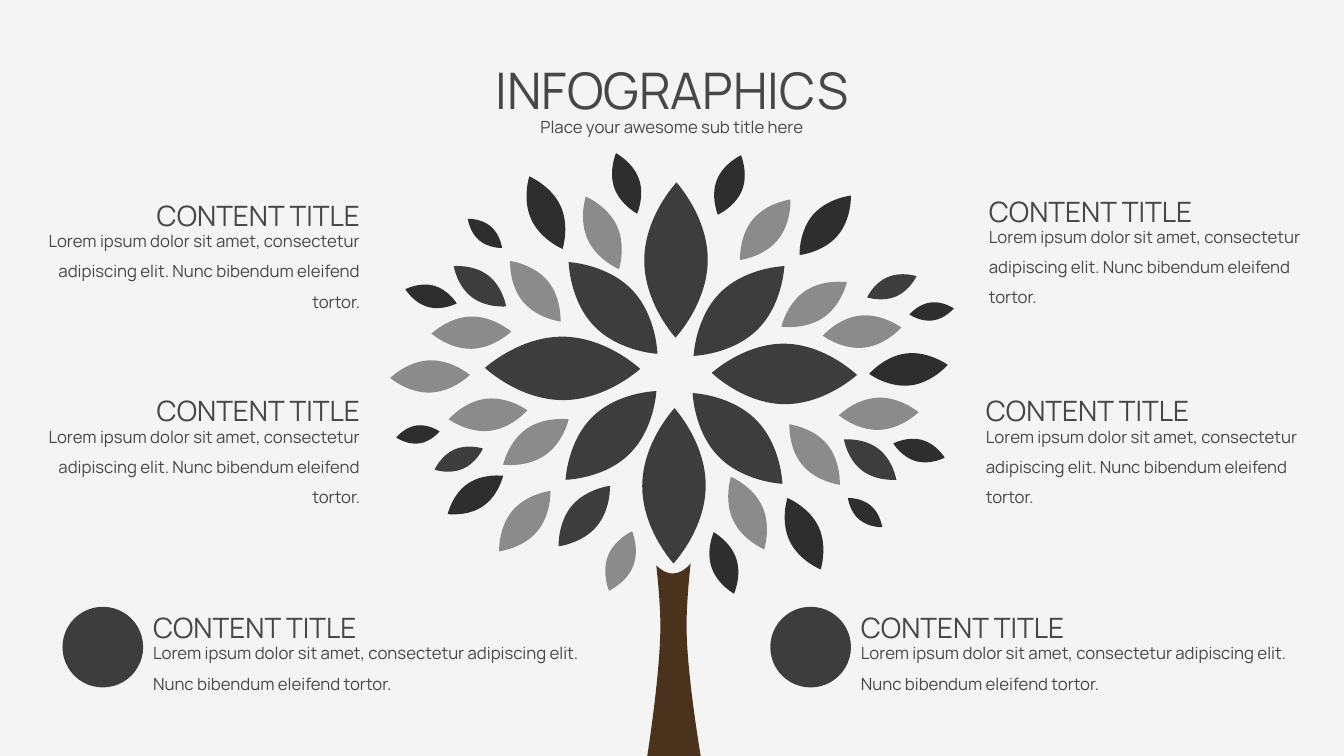
"""Build an infographic slide: a leafy tree surrounded by six content blocks."""
from lxml import etree
from pptx import Presentation
from pptx import util as u
from pptx.dml.color import RGBColor
from pptx.enum import shapes, text
from pptx.oxml.ns import qn

PAPER = RGBColor(0xF4, 0xF4, 0xF4)
INK = RGBColor(0x47, 0x47, 0x47)
CHARCOAL = RGBColor(0x3D, 0x3D, 0x3D)
BLACK = RGBColor(0x2E, 0x2E, 0x2E)
GREY = RGBColor(0x8B, 0x8B, 0x8B)
BARK = RGBColor(0x4B, 0x32, 0x1D)

HEADING = "INFOGRAPHICS"
SUBHEADING = "Place your awesome sub title here"
BLOCK_TITLE = "CONTENT TITLE"
BLOCK_BODY = ("Lorem ipsum dolor sit amet, consectetur adipiscing elit. "
              "Nunc bibendum eleifend tortor.")

LEFT, RIGHT = text.PP_ALIGN.LEFT, text.PP_ALIGN.RIGHT
CENTER, JUSTIFY = text.PP_ALIGN.CENTER, text.PP_ALIGN.JUSTIFY

# left, top, width, body height, title alignment, body alignment, has circle
BLOCKS = [
    (9.71, 1.71, 3.41, 1.01, JUSTIFY, LEFT, False),
    (9.68, 3.69, 3.41, 1.01, JUSTIFY, LEFT, False),
    (0.26, 1.75, 3.41, 1.01, RIGHT, RIGHT, False),
    (0.26, 3.69, 3.41, 1.01, RIGHT, RIGHT, False),
    (8.44, 5.84, 4.71, 0.67, JUSTIFY, LEFT, True),
    (1.42, 5.84, 4.71, 0.67, JUSTIFY, LEFT, True),
]

# first tip, second tip, width, colour
LEAVES = [
    ((6.70, 3.35), (6.71, 1.81), 0.63, CHARCOAL),
    ((4.81, 3.65), (6.35, 3.66), 0.63, CHARCOAL),
    ((6.88, 3.53), (7.78, 2.64), 0.52, CHARCOAL),
    ((7.75, 3.24), (8.40, 2.80), 0.32, GREY),
    ((8.60, 2.95), (9.09, 2.74), 0.21, CHARCOAL),
    ((7.34, 2.58), (7.84, 1.98), 0.32, GREY),
    ((7.93, 2.53), (8.44, 1.94), 0.32, BLACK),
    ((8.16, 3.33), (8.94, 3.25), 0.32, GREY),
    ((8.62, 3.71), (9.40, 3.62), 0.32, BLACK),
    ((5.02, 3.04), (4.50, 2.64), 0.27, CHARCOAL),
    ((4.53, 3.01), (4.02, 2.87), 0.22, BLACK),
    ((4.98, 2.46), (4.64, 2.17), 0.18, BLACK),
    ((9.02, 3.12), (9.46, 3.06), 0.18, BLACK),
    ((5.07, 3.29), (4.28, 3.31), 0.32, GREY),
    ((4.66, 3.72), (3.87, 3.75), 0.32, GREY),
    ((5.56, 3.19), (5.06, 2.59), 0.32, GREY),
    ((6.14, 2.67), (5.81, 1.95), 0.32, GREY),
    ((6.32, 2.12), (6.11, 1.52), 0.26, BLACK),
    ((7.12, 2.13), (7.35, 1.54), 0.27, BLACK),
    ((5.58, 2.47), (5.25, 1.75), 0.32, BLACK),
    ((5.64, 2.60), (6.52, 3.51), 0.52, CHARCOAL),
    ((6.69, 4.05), (6.68, 5.59), 0.63, CHARCOAL),
    ((6.51, 3.88), (5.61, 4.76), 0.52, CHARCOAL),
    ((5.64, 4.16), (4.99, 4.61), 0.32, GREY),
    ((4.99, 4.72), (4.44, 5.10), 0.27, BLACK),
    ((4.79, 4.45), (4.31, 4.66), 0.21, CHARCOAL),
    ((6.05, 4.82), (5.54, 5.42), 0.32, CHARCOAL),
    ((5.46, 4.87), (4.95, 5.47), 0.32, GREY),
    ((5.23, 4.07), (4.45, 4.16), 0.32, GREY),
    ((8.37, 4.36), (8.89, 4.76), 0.27, CHARCOAL),
    ((8.86, 4.40), (9.37, 4.54), 0.22, BLACK),
    ((8.41, 4.94), (8.75, 5.23), 0.18, BLACK),
    ((4.36, 4.28), (3.93, 4.34), 0.18, BLACK),
    ((8.32, 4.12), (9.11, 4.09), 0.32, GREY),
    ((7.83, 4.21), (8.33, 4.81), 0.32, GREY),
    ((7.25, 4.73), (7.58, 5.45), 0.32, GREY),
    ((7.08, 5.28), (7.28, 5.89), 0.26, BLACK),
    ((6.27, 5.27), (6.04, 5.86), 0.27, GREY),
    ((7.81, 4.94), (8.14, 5.65), 0.32, BLACK),
    ((6.87, 3.90), (7.76, 4.80), 0.52, CHARCOAL),
    ((7.06, 3.70), (8.50, 3.72), 0.60, CHARCOAL),
]

TRUNK_START = (6.81, 6.21)
TRUNK_CURVES = [
    ((6.81, 6.01), (6.83, 5.78), (6.85, 5.59)),
    ((6.80, 5.65), (6.74, 5.69), (6.67, 5.69)),
    ((6.62, 5.69), (6.56, 5.66), (6.51, 5.61)),
    ((6.53, 5.80), (6.55, 6.02), (6.55, 6.21)),
    ((6.55, 6.68), (6.42, 7.50), (6.42, 7.50)),
    ((6.95, 7.50), (6.95, 7.50), (6.95, 7.50)),
    ((6.95, 7.50), (6.81, 6.68), (6.81, 6.21)),
]
ROUNDNESS = 0.56


def paint(shape, colour):
    shape.shadow.inherit = False
    shape.fill.solid()
    shape.fill.fore_color.rgb = colour
    shape.line.fill.background()


def add_curved_shape(parent, start, curves, colour):
    builder = parent.build_freeform(*map(u.Inches, start))
    builder.add_line_segments([tuple(map(u.Inches, curve[-1])) for curve in curves])
    shape = builder.convert_to_shape()
    segments = list(shape._element.iter(qn("a:lnTo")))
    for segment, curve in zip(segments, curves):
        bend = etree.Element(qn("a:cubicBezTo"))
        for x, y in curve:
            etree.SubElement(bend, qn("a:pt"), x=str(u.Inches(x) - shape.left),
                             y=str(u.Inches(y) - shape.top))
        segment.getparent().replace(segment, bend)
    paint(shape, colour)


def add_leaf(parent, first, second, width, colour):
    mid_x, mid_y = (first[0] + second[0]) / 2, (first[1] + second[1]) / 2
    half_x, half_y = (second[0] - first[0]) / 2, (second[1] - first[1]) / 2
    slimness = width / 2 / (half_x ** 2 + half_y ** 2) ** 0.5

    def spot(along, across):
        across *= slimness
        return (mid_x + along * half_x - across * half_y,
                mid_y + along * half_y + across * half_x)

    curves = [
        (spot(ROUNDNESS, 1), second, second),
        (second, spot(ROUNDNESS, -1), spot(0, -1)),
        (spot(-ROUNDNESS, -1), first, first),
        (first, spot(-ROUNDNESS, 1), spot(0, 1)),
    ]
    add_curved_shape(parent, spot(0, 1), curves, colour)


def add_text(parent, place, words, size, alignment):
    box = parent.add_textbox(*map(u.Inches, place))
    frame = box.text_frame
    frame.word_wrap = True
    frame.auto_size = text.MSO_AUTO_SIZE.SHAPE_TO_FIT_TEXT
    para = frame.paragraphs[0]
    para.alignment, para.line_spacing = alignment, 1.5
    span = para.add_run()
    span.text = words
    for name, value in {"name": "Manrope", "size": u.Pt(size)}.items():
        setattr(span.font, name, value)
    span.font.color.rgb = INK


def main():
    deck = Presentation()
    deck.slide_width, deck.slide_height = u.Inches(13.33), u.Inches(7.5)
    page = deck.slides.add_slide(deck.slide_layouts[6])
    page.background.fill.solid()
    page.background.fill.fore_color.rgb = PAPER

    header = page.shapes.add_group_shape().shapes
    add_text(header, (0.62, 1.01, 12.09, 0.31), SUBHEADING, 12, CENTER)
    add_text(header, (0.62, 0.24, 12.09, 1.01), HEADING, 36, CENTER)

    tree = page.shapes.add_group_shape().shapes
    for leaf in LEAVES:
        add_leaf(tree, *leaf)
    add_curved_shape(tree, TRUNK_START, TRUNK_CURVES, BARK)

    for left, top, width, height, title_side, body_side, has_circle in BLOCKS:
        if has_circle:
            place = map(u.Inches, (left - 0.8, top + 0.18, 0.8, 0.8))
            paint(page.shapes.add_shape(shapes.MSO_SHAPE.OVAL, *place), CHARCOAL)
        add_text(page.shapes, (left, top + 0.39, width, height), BLOCK_BODY, 12, body_side)
        add_text(page.shapes, (left, top, width, 0.61), BLOCK_TITLE, 20, title_side)

    deck.save("out.pptx")


if __name__ == "__main__":
    main()
